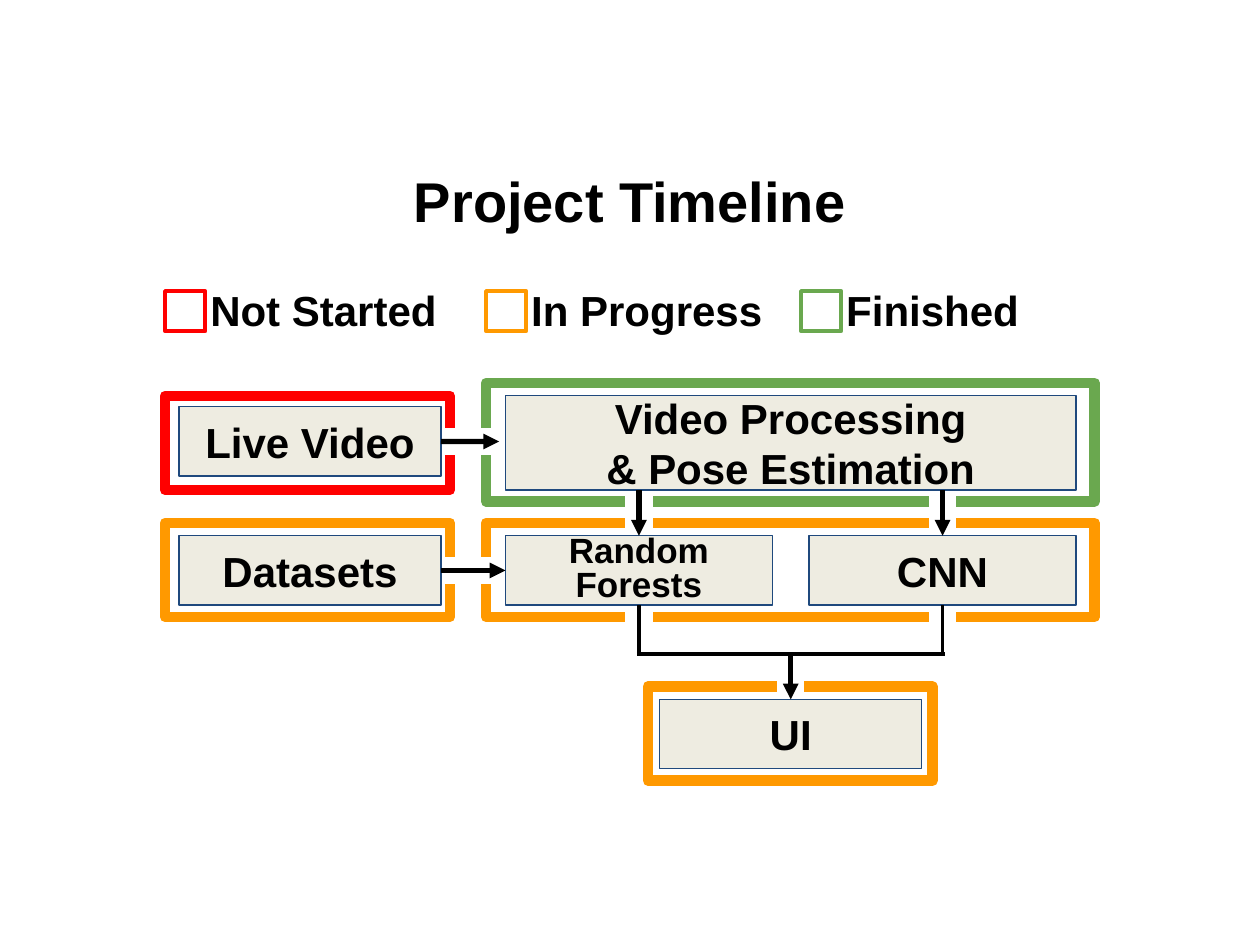
from dataclasses import dataclass

from lxml import etree
from pptx import Presentation, util as u
from pptx.dml.color import RGBColor
from pptx.enum import shapes, text
from pptx.oxml.ns import qn

TOP, LEFT, BOTTOM, RIGHT = range(4)


@dataclass(frozen=True)
class Theme:
    font: str = "Arial"
    ink: str = "000000"
    paper: str = "FFFFFF"
    box_fill: str = "EEECE1"
    box_line: str = "1F497D"
    not_started: str = "FF0000"
    in_progress: str = "FF9900"
    finished: str = "6AA84F"
    title_size: int = 32
    label_size: int = 24
    small_size: int = 20


class TimelineSlide:
    def __init__(self, slide, theme):
        self.shapes = slide.shapes
        self.theme = theme

    def _rectangle(self, x, y, width, height, line, weight, fill=None):
        rectangle = self.shapes.add_shape(
            shapes.MSO_SHAPE.RECTANGLE, u.Cm(x), u.Cm(y), u.Cm(width), u.Cm(height))
        rectangle.shadow.inherit = False
        if fill:
            rectangle.fill.solid()
            rectangle.fill.fore_color.rgb = RGBColor.from_string(fill)
        else:
            rectangle.fill.background()
        rectangle.line.color.rgb = RGBColor.from_string(line)
        rectangle.line.width = u.Pt(weight)
        return rectangle

    def _write(self, holder, lines, size, align, inset, anchor, spacing=None):
        frame = holder.text_frame
        frame.word_wrap = True
        frame.vertical_anchor = anchor
        frame.margin_left = frame.margin_right = u.Cm(0.25)
        frame.margin_top = frame.margin_bottom = u.Cm(inset)
        for index, line in enumerate(lines):
            paragraph = frame.paragraphs[0] if index == 0 else frame.add_paragraph()
            paragraph.alignment = align
            if spacing:
                paragraph.line_spacing = spacing
            run = paragraph.add_run()
            run.text = line
            run.font.name = self.theme.font
            run.font.size = u.Pt(size)
            run.font.bold = True
            run.font.color.rgb = RGBColor.from_string(self.theme.ink)

    def _text_box(self, x, y, width, height):
        return self.shapes.add_textbox(u.Cm(x), u.Cm(y), u.Cm(width), u.Cm(height))

    def title(self, wording):
        heading = self._text_box(1.27, 2.92, 22.86, 2.24)
        self._write(heading, [wording], self.theme.title_size, text.PP_ALIGN.CENTER,
                    0.13, text.MSO_ANCHOR.MIDDLE)

    def status_frame(self, x, y, width, height, color, weight=6):
        """Outline with rounded corners in the colour of a status."""
        frame = self._rectangle(x, y, width, height, color, weight)
        etree.SubElement(frame.line._get_or_add_ln(), qn("a:round"))

    def legend_entry(self, x, wording, color):
        self.status_frame(x, 5.87, 0.81, 0.81, color, 2.25)
        label = self._text_box(x + 0.66, 5.49, 6.53, 1.55)
        self._write(label, [wording], self.theme.label_size, text.PP_ALIGN.LEFT,
                    0.25, text.MSO_ANCHOR.TOP)

    def gap(self, center_x, center_y, width, height):
        """Opening in a status frame that lets an arrow through."""
        self._rectangle(center_x - width / 2, center_y - height / 2, width, height,
                        self.theme.paper, 0.75, self.theme.paper)

    def step(self, x, y, width, height, *lines, size=None, spacing=None):
        box = self._rectangle(x, y, width, height, self.theme.box_line, 0.75,
                              self.theme.box_fill)
        self._write(box, lines, size or self.theme.label_size, text.PP_ALIGN.CENTER,
                    0.25, text.MSO_ANCHOR.MIDDLE, spacing)
        return box

    def link(self, start, end, source=None, target=None, weight=3.0, arrow=True):
        """Line from start to end; source and target are (box, side) joints."""
        line = self.shapes.add_connector(
            shapes.MSO_CONNECTOR.STRAIGHT, *(u.Cm(value) for value in (*start, *end)))
        if source:
            line.begin_connect(*source)
        if target:
            line.end_connect(*target)
        line.line.color.rgb = RGBColor.from_string(self.theme.ink)
        line.line.width = u.Pt(weight)
        if arrow:
            etree.SubElement(line.line._get_or_add_ln(), qn("a:tailEnd"), type="triangle")
        etree.SubElement(line._element.spPr, qn("a:effectLst"))


def main():
    deck = Presentation()
    deck.slide_width, deck.slide_height = u.Cm(25.4), u.Cm(19.05)
    theme = Theme()
    timeline = TimelineSlide(deck.slides.add_slide(deck.slide_layouts[6]), theme)

    timeline.title("Project Timeline")
    for x, wording, color in (
        (3.33, "Not Started", theme.not_started),
        (9.8, "In Progress", theme.in_progress),
        (16.15, "Finished", theme.finished),
    ):
        timeline.legend_entry(x, wording, color)

    for x, y, width, height, color in (
        (9.8, 7.72, 12.27, 2.39, theme.finished),
        (3.33, 7.98, 5.74, 1.9, theme.not_started),
        (3.33, 10.54, 5.74, 1.9, theme.in_progress),
        (9.8, 10.54, 12.27, 1.9, theme.in_progress),
        (13.06, 13.84, 5.74, 1.9, theme.in_progress),
    ):
        timeline.status_frame(x, y, width, height, color)

    forests_x, cnn_x = 12.88, 19.0
    ui_x = (forests_x + cnn_x) / 2
    input_y, model_y, bus_y = 8.9, 11.5, 13.18
    for x in (forests_x, cnn_x):
        for y in (10.27, 12.59):
            timeline.gap(x, y, 0.53, 1)
    timeline.gap(ui_x, 13.77, 0.53, 1.27)
    timeline.gap(9.31, input_y, 1.27, 0.53)
    timeline.gap(9.41, model_y, 1.27, 0.53)

    live_video = timeline.step(3.61, 8.2, 5.28, 1.4, "Live Video")
    datasets = timeline.step(3.61, 10.8, 5.28, 1.4, "Datasets")
    timeline.step(10.19, 7.98, 11.5, 1.9, "Video Processing", "& Pose Estimation")
    forests = timeline.step(10.19, 10.8, 5.38, 1.4, "Random Forests",
                            size=theme.small_size, spacing=0.8)
    cnn = timeline.step(16.31, 10.8, 5.38, 1.4, "CNN")
    ui = timeline.step(13.3, 14.1, 5.28, 1.4, "UI")

    timeline.link((8.89, input_y), (10.06, input_y), source=(live_video, RIGHT))
    timeline.link((8.89, model_y), (10.19, model_y), (datasets, RIGHT), (forests, LEFT))
    for x, model in ((forests_x, forests), (cnn_x, cnn)):
        timeline.link((x, 9.88), (x, 10.8), target=(model, TOP))
        timeline.link((x, 12.2), (x, bus_y), source=(model, BOTTOM),
                      weight=2.25, arrow=False)
    timeline.link((forests_x - 0.04, bus_y), (cnn_x + 0.04, bus_y),
                  weight=2.25, arrow=False)
    timeline.link((ui_x, bus_y), (ui_x, 14.1), target=(ui, TOP))

    deck.save("out.pptx")


if __name__ == "__main__":
    main()
